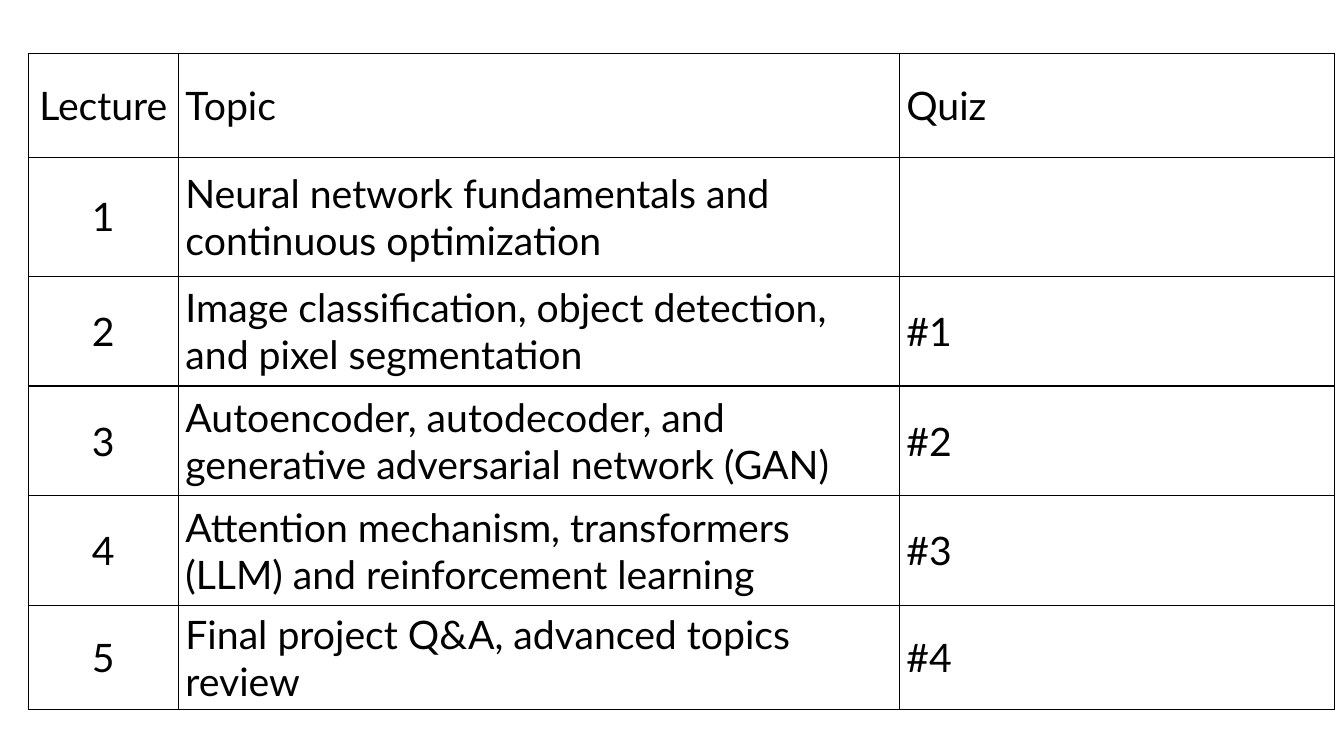
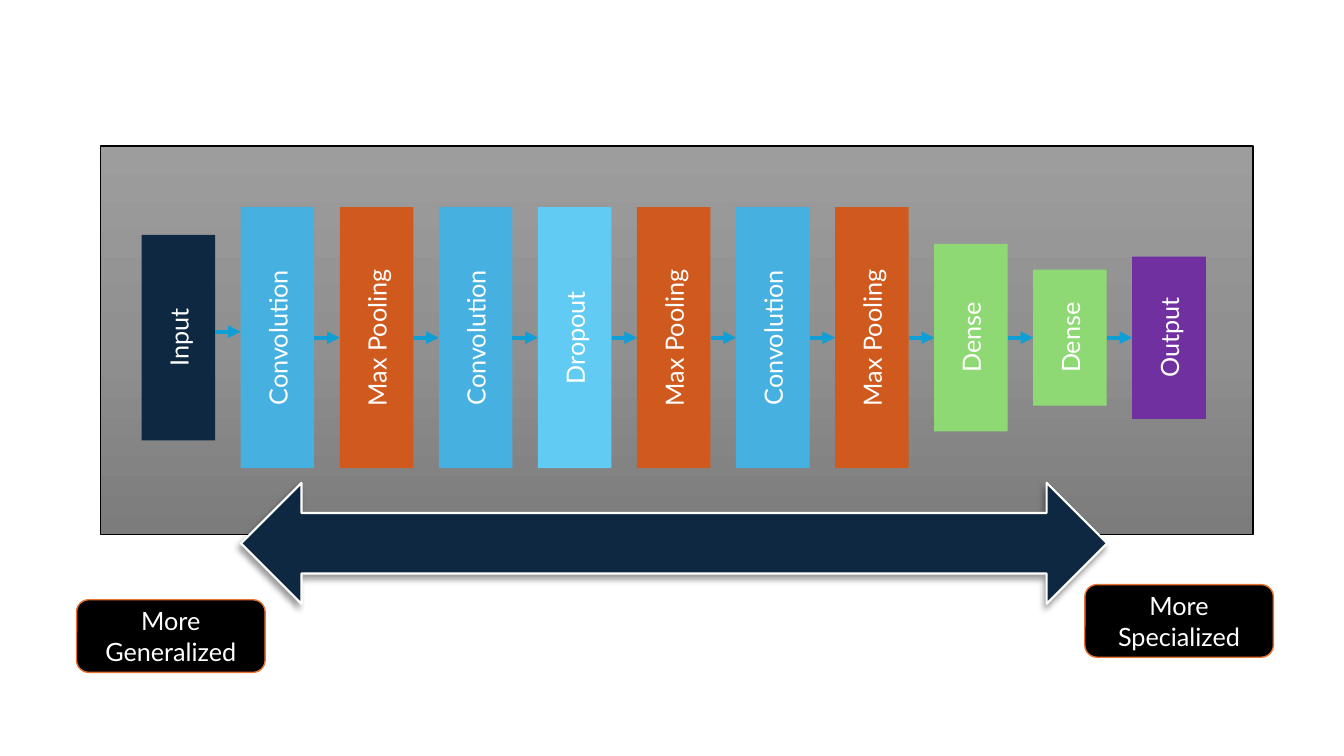
from copy import deepcopy
from itertools import pairwise

from pptx import Presentation
from pptx import util as u
from pptx.dml.color import RGBColor
from pptx.enum import shapes, text
from pptx.oxml import parse_xml
from pptx.oxml.ns import nsdecls, qn

PX = 9144
FONT = "Lato"

BLACK = RGBColor(0x00, 0x00, 0x00)
WHITE = RGBColor(0xFF, 0xFF, 0xFF)
NAVY = RGBColor(0x0E, 0x28, 0x41)
BLUE = RGBColor(0x46, 0xB1, 0xE1)
SKY = RGBColor(0x61, 0xCB, 0xF4)
RUST = RGBColor(0xD0, 0x59, 0x1E)
GREEN = RGBColor(0x8E, 0xD9, 0x73)
PURPLE = RGBColor(0x70, 0x30, 0xA0)
FLOW = RGBColor(0x0F, 0x9E, 0xD5)
ORANGE = RGBColor(0xE9, 0x71, 0x32)
PANEL_STOPS = [
    (0, RGBColor(0x9D, 0x9D, 0x9D)),
    (0.5, RGBColor(0x90, 0x90, 0x90)),
    (1, RGBColor(0x7C, 0x7C, 0x7C)),
]

COLUMN_WIDTHS = [149, 715, 432]
ROW_HEIGHTS = [103, 118, 109, 109, 109, 103]
SCHEDULE = [
    ("Lecture", "Topic", "Quiz"),
    ("1", "Neural network fundamentals and continuous optimization", ""),
    ("2", "Image classification, object detection, and pixel segmentation", "#1"),
    ("3", "Autoencoder, autodecoder, and generative adversarial network (GAN)", "#2"),
    ("4", "Attention mechanism, transformers (LLM) and reinforcement learning", "#3"),
    ("5", "Final project Q&A, advanced topics review", "#4"),
]

LAYER_WIDTH = 73
LAYER_PITCH = 98.25
FIRST_CENTER = 177
MIDDLE = 335
INPUT_ARROW_Y = 329
LAYERS = [
    ("Input", 204, NAVY),
    ("Convolution", 259, BLUE),
    ("Max Pooling", 259, RUST),
    ("Convolution", 259, BLUE),
    ("Dropout", 259, SKY),
    ("Max Pooling", 259, RUST),
    ("Convolution", 259, BLUE),
    ("Max Pooling", 259, RUST),
    ("Dense", 186, GREEN),
    ("Dense", 135, GREEN),
    ("Output", 161, PURPLE),
]


def px(*lengths):
    return [u.Emu(round(length * PX)) for length in lengths]


def style_paragraph(paragraph, size, color, align):
    paragraph.alignment = align
    paragraph.font.size = u.Pt(size)
    paragraph.font.name = FONT
    paragraph.font.color.rgb = color


def add_box(slide, kind, box, fill=None, line=None, line_width=1):
    shape = slide.shapes.add_shape(kind, *px(*box))
    shape.shadow.inherit = False
    if fill is not None:
        shape.fill.solid()
        shape.fill.fore_color.rgb = fill
    if line is None:
        shape.line.fill.background()
    else:
        shape.line.color.rgb = line
        shape.line.width = u.Pt(line_width)
    return shape


def write_label(shape, label):
    frame = shape.text_frame
    frame.word_wrap = True
    frame.vertical_anchor = text.MSO_ANCHOR.MIDDLE
    frame.text = label
    style_paragraph(frame.paragraphs[0], 18, WHITE, text.PP_ALIGN.CENTER)


def add_panel(slide, box):
    panel = add_box(slide, shapes.MSO_SHAPE.RECTANGLE, box, line=BLACK)
    panel.fill.gradient()
    panel.fill.gradient_angle = 270
    stop_list = panel.element.spPr.find(".//" + qn("a:gsLst"))
    stop_list.insert(1, deepcopy(stop_list[0]))
    for stop, (position, color) in zip(panel.fill.gradient_stops, PANEL_STOPS):
        stop.position = position
        stop.color.rgb = color


def add_layer(slide, index, label, height, color):
    left = FIRST_CENTER + index * LAYER_PITCH - LAYER_WIDTH / 2
    box = (left, MIDDLE - height / 2, LAYER_WIDTH, height)
    layer = add_box(slide, shapes.MSO_SHAPE.RECTANGLE, box, color)
    write_label(layer, label)
    layer.text_frame._txBody.bodyPr.set("vert", "vert270")
    return layer


def add_flow_arrow(slide, source, target, y=None):
    height = px(y or MIDDLE)[0]
    arrow = slide.shapes.add_connector(
        shapes.MSO_CONNECTOR.STRAIGHT,
        source.left + source.width, height, target.left, height,
    )
    if y is None:
        arrow.begin_connect(source, 3)
        arrow.end_connect(target, 1)
    arrow.line.color.rgb = FLOW
    arrow.line.width = u.Pt(3)
    arrow.line._get_or_add_ln().append(
        parse_xml(f'<a:tailEnd {nsdecls("a")} type="triangle"/>'))
    arrow.element.spPr.append(parse_xml(f'<a:effectLst {nsdecls("a")}/>'))


def add_drop_shadow(shape):
    shape.element.spPr.find(qn("a:effectLst")).append(parse_xml(
        f'<a:outerShdw {nsdecls("a")} blurRad="50800" dist="38100" dir="8100000" '
        'algn="tr" rotWithShape="0"><a:srgbClr val="000000">'
        '<a:alpha val="40000"/></a:srgbClr></a:outerShdw>'))


def add_cell_borders(cell):
    properties = cell._tc.get_or_add_tcPr()
    for index, side in enumerate(("lnL", "lnR", "lnT", "lnB")):
        properties.insert(index, parse_xml(
            f'<a:{side} {nsdecls("a")} w="12700"><a:solidFill>'
            f'<a:srgbClr val="{BLACK}"/></a:solidFill></a:{side}>'))


def fill_cell(cell, content, align):
    cell.text = content
    cell.vertical_anchor = text.MSO_ANCHOR.MIDDLE
    cell.margin_left = cell.margin_right = px(7)[0]
    cell.margin_top = cell.margin_bottom = 0
    style_paragraph(cell.text_frame.paragraphs[0], 28, BLACK, align)
    cell.fill.background()
    add_cell_borders(cell)


def build_schedule(slide):
    box = px(28, 53, sum(COLUMN_WIDTHS), sum(ROW_HEIGHTS))
    schedule = slide.shapes.add_table(len(SCHEDULE), len(COLUMN_WIDTHS), *box).table
    schedule.first_row = schedule.horz_banding = False
    for column, width in zip(schedule.columns, px(*COLUMN_WIDTHS)):
        column.width = width
    for row, height in zip(schedule.rows, px(*ROW_HEIGHTS)):
        row.height = height
    aligns = [text.PP_ALIGN.CENTER, text.PP_ALIGN.LEFT, text.PP_ALIGN.LEFT]
    for row, contents in zip(schedule.rows, SCHEDULE):
        for cell, content, align in zip(row.cells, contents, aligns):
            fill_cell(cell, content, align)


def build_network(slide):
    add_panel(slide, (100, 145, 1143, 385))
    layers = [add_layer(slide, i, *layer) for i, layer in enumerate(LAYERS)]
    for index, (source, target) in enumerate(pairwise(layers)):
        add_flow_arrow(slide, source, target, INPUT_ARROW_Y if index == 0 else None)
    spectrum = add_box(slide, shapes.MSO_SHAPE.LEFT_RIGHT_ARROW,
                       (239, 479, 859, 120), NAVY, WHITE, 1.5)
    add_drop_shadow(spectrum)
    for label, left, top in (("More Generalized", 76, 595),
                             ("More Specialized", 1076, 580)):
        end = add_box(slide, shapes.MSO_SHAPE.ROUNDED_RECTANGLE,
                      (left, top, 187, 72), BLACK, ORANGE)
        write_label(end, label)


def main():
    deck = Presentation()
    deck.slide_width, deck.slide_height = px(1333, 750)
    blank = deck.slide_layouts[6]
    for build in (build_schedule, build_network):
        build(deck.slides.add_slide(blank))
    deck.save("out.pptx")


if __name__ == "__main__":
    main()
